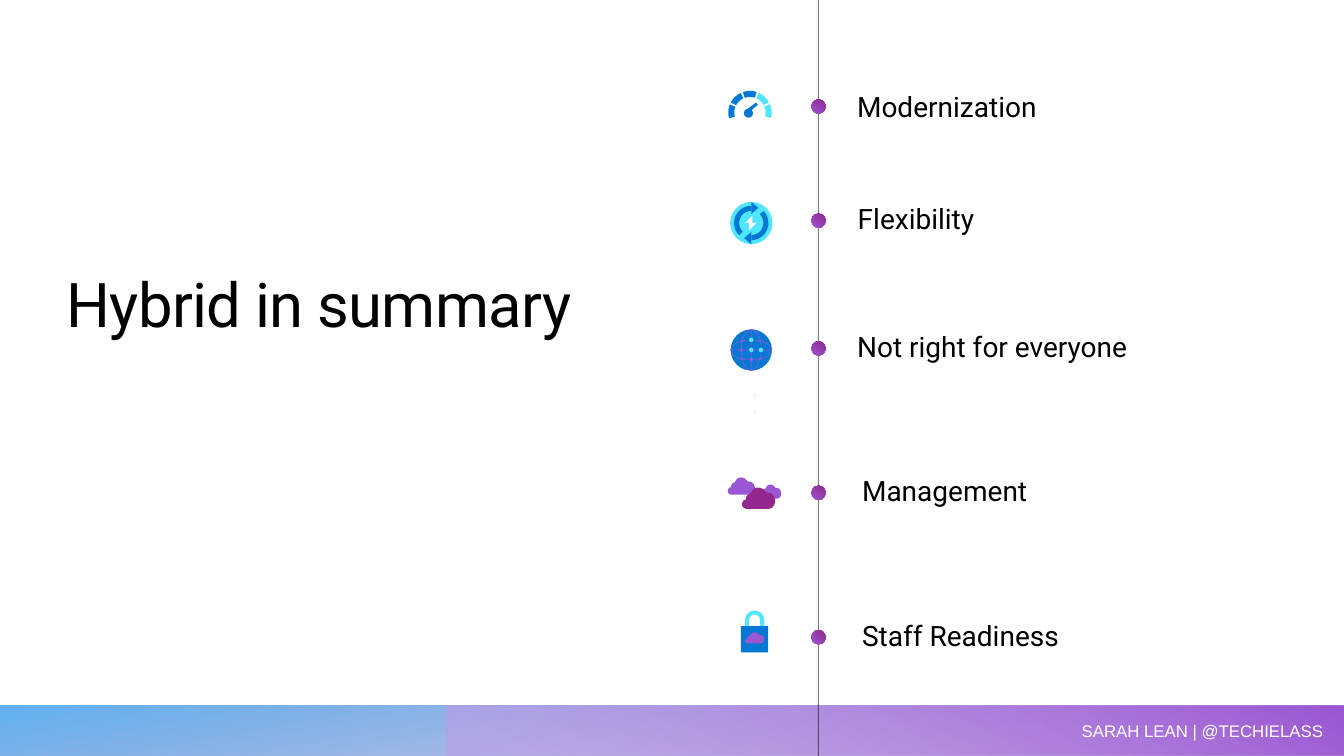
import math
import pptx
import pptx.dml.color
import pptx.enum.dml
import pptx.enum.shapes
import pptx.enum.text
import pptx.oxml
import pptx.oxml.ns
import pptx.util

WIDE, HIGH = 13.33, 7.5
COL, ROW = WIDE / 100, HIGH / 100
HUE = {
    "black": "000000", "white": "FFFFFF", "grey": "75757A",
    "blue": "0078D4", "cyan": "50E6FF", "lilac": "9B57D3", "plum": "92278F",
    "slate": "665EB8", "sky": "45A5ED", "pale": "C39AE5",
}
RECT = pptx.enum.shapes.MSO_SHAPE.RECTANGLE
OVAL = pptx.enum.shapes.MSO_SHAPE.OVAL
TOP = pptx.enum.text.MSO_ANCHOR.TOP
MID = pptx.enum.text.MSO_ANCHOR.MIDDLE
PUFF = [
    [(.6, 0), (.68, .1), (.73, .24)],
    [(.75, .23), (.77, .23), (.79, .24)],
    [(.91, .24), (1, .43), (1, .62)],
    [(1, .81), (.93, 1), (.81, 1)],
    [(.6, 1), (.3, 1), (.12, 1)],
    [(.04, .97), (0, .87), (0, .76)],
    [(.02, .66), (.06, .57), (.12, .57)],
    [(.12, .5), (.13, .45), (.15, .4)],
    [(.18, .33), (.22, .28), (.27, .28)],
    [(.3, .1), (.39, 0), (.48, 0)],
]


def tint(name):
    return pptx.dml.color.RGBColor.from_string(HUE[name])


def grid(box):
    x, y, w, h = box
    return [pptx.util.Inches(n) for n in (x * COL, y * ROW, w * COL, h * ROW)]


def fade(node, share):
    mark = pptx.oxml.parse_xml(
        f'<a:alpha {pptx.oxml.ns.nsdecls("a")} val="{share * 1000}"/>')
    node.append(mark)


def blend(shape, stops, angle):
    shape.shadow.inherit = False
    shape.line.fill.background()
    shape.fill.gradient()
    shape.fill.gradient_angle = 360 - angle
    for stop, (spot, name, share) in zip(shape.fill.gradient_stops, stops):
        stop.position = spot
        stop.color.rgb = tint(name)
        if share < 100:
            fade(stop._element.find(pptx.oxml.ns.qn("a:srgbClr")), share)


def write(shape, text, size=20, font="Roboto", hue="black", anchor=MID,
          inset=0, lead=None, after=None, track=None):
    frame = shape.text_frame
    frame.word_wrap = True
    frame.vertical_anchor = anchor
    frame.margin_left = frame.margin_right = pptx.util.Inches(inset)
    frame.margin_top = frame.margin_bottom = pptx.util.Inches(inset / 2)
    line = frame.paragraphs[0]
    line.alignment = pptx.enum.text.PP_ALIGN.LEFT
    if lead:
        line.line_spacing = lead
    if after:
        line.space_after = pptx.util.Pt(after)
    run = line.add_run()
    run.text = text
    run.font.size = pptx.util.Pt(size)
    run.font.name = font
    run.font.color.rgb = tint(hue)
    if track:
        run._r.get_or_add_rPr().set("spc", str(track))


class Pen:
    def __init__(self, slide, x, y):
        self.shapes = slide.shapes.add_group_shape().shapes
        self.x, self.y = x * COL, y * ROW

    def paint(self, shape, hue):
        shape.shadow.inherit = False
        shape.line.fill.background()
        shape.fill.solid()
        shape.fill.fore_color.rgb = tint(hue)

    def block(self, kind, x, y, w, h, hue):
        shape = self.shapes.add_shape(kind, *[pptx.util.Inches(n) for n in (
            self.x + x / 100, self.y + y / 100, w / 100, h / 100)])
        self.paint(shape, hue)
        return shape

    def disc(self, x, y, r, hue):
        self.block(OVAL, x - r, y - r, 2 * r, 2 * r, hue)

    def loop(self, w, h, hue):
        shape = self.block(OVAL, -w / 2, -h / 2, w, h, hue)
        shape.fill.background()
        shape.line.color.rgb = tint(hue)
        shape.line.width = pptx.util.Pt(0.4)

    def shape(self, dots, hue):
        spots = [(pptx.util.Inches(self.x + x / 100),
                  pptx.util.Inches(self.y + y / 100)) for x, y in dots]
        form = self.shapes.build_freeform(*spots[0])
        form.add_line_segments(spots[1:])
        self.paint(form.convert_to_shape(), hue)

    def ring(self, start, end, outer, inner, hue):
        self.shape(arc(outer, start, end) + arc(inner, end, start), hue)

    def cloud(self, x, y, w, h, hue):
        dots, last = [], (.48, 0)
        for one, two, end in PUFF:
            for t in (n / 8 for n in range(8)):
                dots.append([a * (1 - t) ** 3 + 3 * b * t * (1 - t) ** 2
                             + 3 * c * t * t * (1 - t) + d * t ** 3
                             for a, b, c, d in zip(last, one, two, end)])
            last = end
        self.shape([(x + a * w, y + b * h) for a, b in dots], hue)


def arc(r, start, end, y=0):
    turns = [math.radians(start + (end - start) * n / 24) for n in range(25)]
    return [(r * math.cos(t), y - r * math.sin(t)) for t in turns]


def gauge(pen):
    for n in range(5):
        start = 158 - 43 * n
        pen.ring(start, start + 37, 21.5, 15.5, "blue" if n < 3 else "cyan")
    pen.shape([(-2, -4), (6, -10), (8, -8), (0, -1)], "blue")
    pen.disc(-1.5, 0.5, 4.5, "blue")


def cycle(pen):
    pen.disc(0, 0, 21, "cyan")
    for start, side in ((90, 1), (270, -1)):
        pen.ring(start, start + 135, 17, 12, "blue")
        pen.shape([(0, -21 * side), (7 * side, -15 * side), (0, -9 * side)],
                  "blue")
    pen.shape([(1, -7), (-6, 0), (-2, 0), (-2, 7), (5, 0), (1, 0)], "white")


def globe(pen):
    pen.disc(0, 0, 20.5, "blue")
    pen.loop(41, 20, "lilac")
    pen.loop(20, 41, "lilac")
    pen.block(RECT, -20.5, -0.3, 41, 0.6, "lilac")
    pen.block(RECT, -0.3, -20.5, 0.6, 41, "lilac")
    for x in (-9, 9):
        for y in (-9, 9):
            pen.disc(x, y, 1.1, "lilac")
    for x, y, r, hue in ((0, 9.5, 1.8, "lilac"), (-10, 0, 1.5, "lilac"),
                         (0, 0, 2.2, "cyan"), (0, -10, 2.2, "cyan"),
                         (9.5, 0, 2.2, "cyan")):
        pen.disc(x, y, r, hue)
    for y in (44.5, 61.5):
        pen.disc(3.5, y, 0.4, "grey")


def clouds(pen):
    pen.cloud(-26, -16, 27, 17, "lilac")
    pen.cloud(6, -9, 21, 14, "lilac")
    pen.cloud(-12, -6, 33, 21, "plum")


def lock(pen):
    pen.shape(arc(9.5, 0, 180, -11) + [(-9.5, -4), (-5.5, -4)]
              + arc(5.5, 180, 0, -11) + [(5.5, -4), (9.5, -4)], "cyan")
    pen.block(RECT, -13.5, -5, 27, 26, "blue")
    pen.cloud(-9.5, 1, 19, 11, "lilac")


def base(slide, box):
    x, y, w, h = box
    bands = (
        (0, 180, 100, [(.14, "slate", 28), (1, "sky", 85)]),
        (33.13, 0, 240, [(.09, "pale", 55), (.99, "lilac", 100)]),
    )
    for left, turn, angle, stops in bands:
        band = slide.shapes.add_shape(RECT, *grid((x + left, y, w - left, h)))
        blend(band, stops, angle)
        band.rotation = turn
        band._element.spPr.xfrm.set("flipH", "1")
    note = slide.shapes.add_textbox(*grid((x + 79.74, y + 1.33, 22.13, 4)))
    write(note, "SARAH LEAN | @TECHIELASS", size=12, font="Arial",
          hue="white", anchor=TOP, inset=0.1)


def head(slide, box):
    title = slide.shapes.title
    title.left, title.top, title.width, title.height = grid(box)
    write(title, "Hybrid in summary", size=44, anchor=TOP, track=-50)


def spine(slide, x):
    rail = slide.shapes.add_connector(
        pptx.enum.shapes.MSO_CONNECTOR.STRAIGHT, *grid((x, 0, x, 100)))
    rail.line.width = pptx.util.Pt(0.75)
    rail.line.color.rgb = tint("black")
    look = rail._element.spPr
    fade(next(look.iter(pptx.oxml.ns.qn("a:srgbClr"))), 51)
    look.append(pptx.oxml.parse_xml(
        f'<a:effectLst {pptx.oxml.ns.nsdecls("a")}/>'))


def point(slide, x, y, text, draw, side, lift, shift, drop):
    draw(Pen(slide, x - side, y + lift))
    dot = slide.shapes.add_shape(OVAL, *grid((x - .53, y - .95, 1.06, 1.9)))
    blend(dot, [(0, "lilac", 100), (1, "plum", 100)], 310)
    label = slide.shapes.add_textbox(
        *grid((x + shift, y + drop - 2, 32, 4)))
    write(label, text, lead=0.9, after=6)


def main():
    deck = pptx.Presentation()
    deck.slide_width = pptx.util.Inches(WIDE)
    deck.slide_height = pptx.util.Inches(HIGH)
    slide = deck.slides.add_slide(deck.slide_layouts[5])
    base(slide, (0, 93.33, 100, 6.67))
    head(slide, (4.95, 35.2, 43.5, 9.87))
    spine(slide, 60.9)
    for row in (
        (14.1, "Modernization", gauge, 5.1, 0.8, 2.87, 0.3),
        (29.2, "Flexibility", cycle, 5, 0.3, 2.92, 0),
        (46.1, "Not right for everyone", globe, 5, 0.2, 2.87, 0),
        (65.2, "Management", clouds, 4.8, 0.1, 3.24, 0),
        (84.3, "Staff Readiness", lock, 4.75, -0.8, 3.24, 0),
    ):
        point(slide, 60.9, *row)
    deck.save("out.pptx")


if __name__ == "__main__":
    main()
